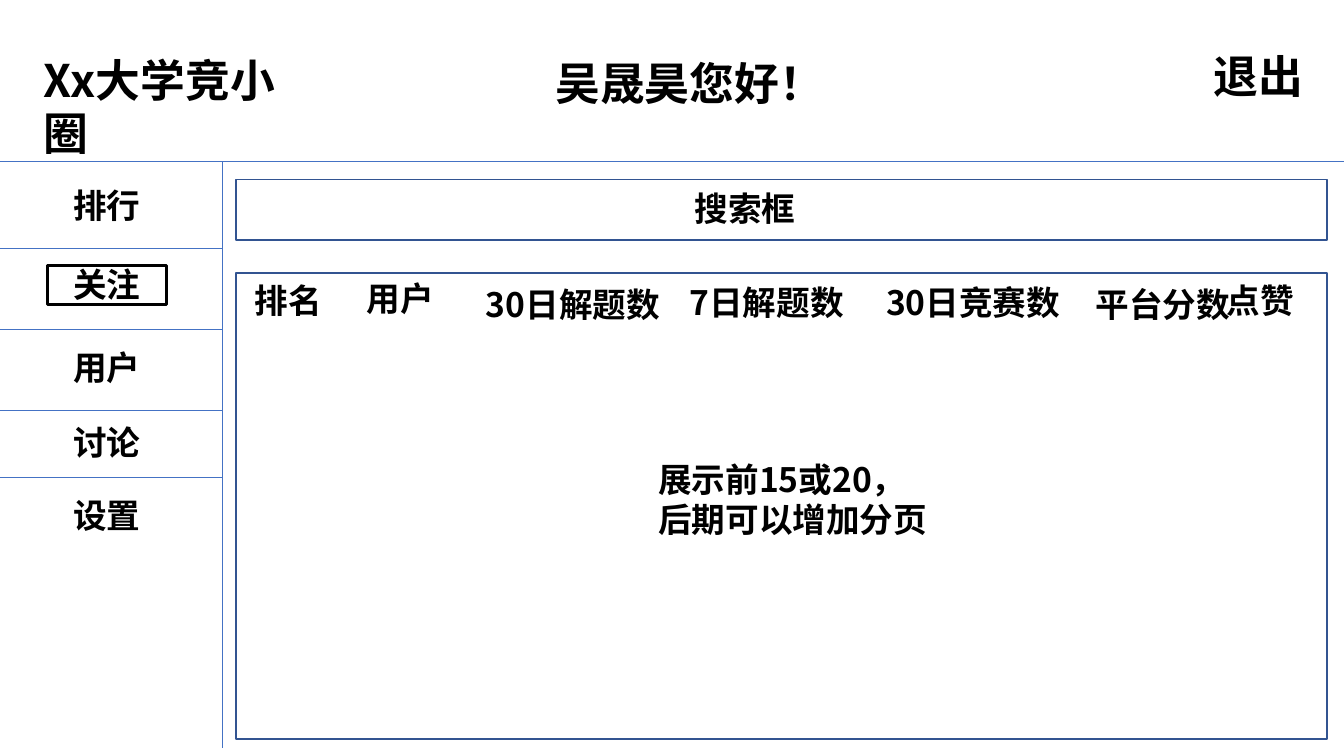
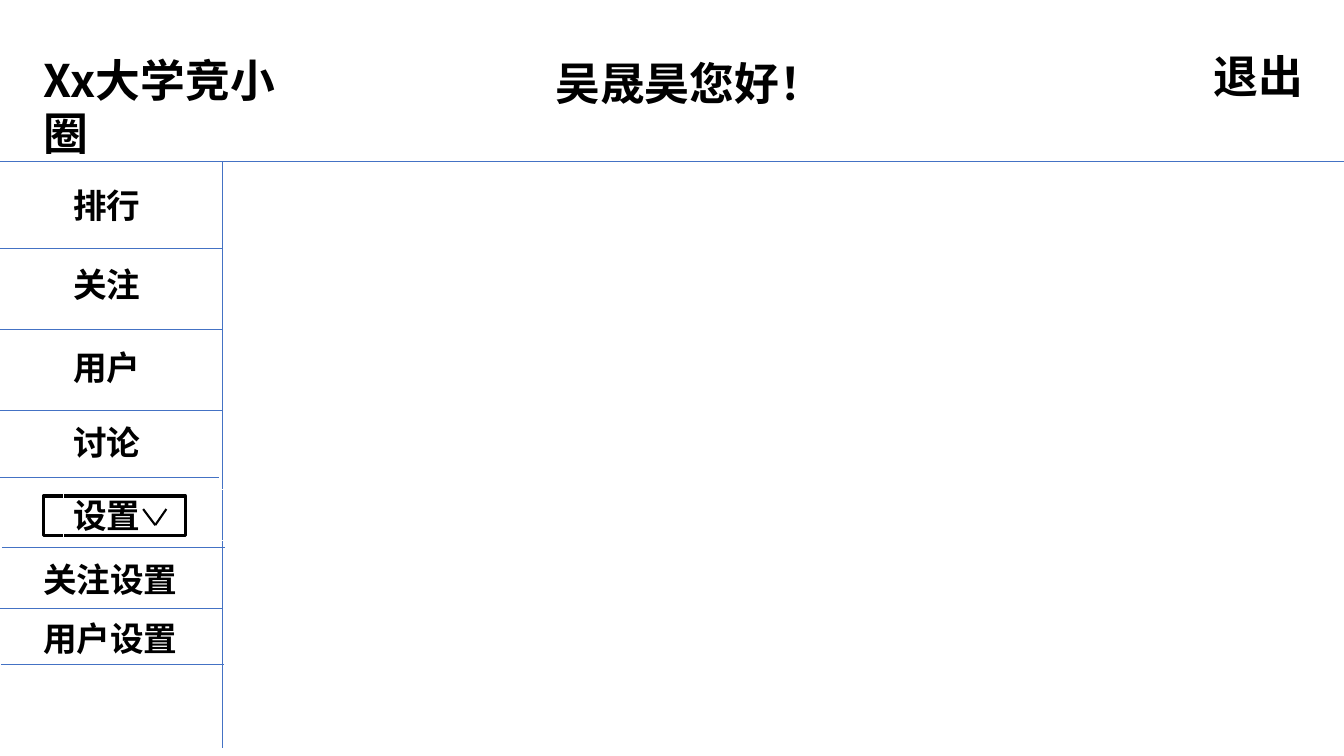
import pptx
import pptx.util
import pptx.dml.color
import pptx.enum.shapes
import pptx.enum.text
import pptx.oxml.ns
import lxml.etree

Inches = pptx.util.Inches
Pt = pptx.util.Pt
RGBColor = pptx.dml.color.RGBColor
qn = pptx.oxml.ns.qn

FONT = "Noto Sans CJK SC"
BLACK = RGBColor(0x00, 0x00, 0x00)
WHITE = RGBColor(0xFF, 0xFF, 0xFF)
BLUE = RGBColor(0x44, 0x72, 0xC4)
NAVY = RGBColor(0x32, 0x54, 0x91)

WIDTH, HEIGHT = 13.33, 7.5
HEADER_BOTTOM, MENU_RIGHT, MENU_BOTTOM = 1.6, 2.21, 7.42
MENU_LEFT, SUBMENU_LEFT = 0.63, 0.33
LABEL_WIDTH = 1.96
HEADER_SIZE, BODY_SIZE = 32, 24

# text, left, top, width
HEADER = [
    ("退出", 11.94, 0.43, 1.96),
    ("Xx大学竞小圈", 0.33, 0.47, 2.94),
    ("吴晟昊您好！", 5.41, 0.5, 2.94),
]
# text, top
MENU = [("排行", 1.79), ("关注", 2.57), ("用户", 3.39), ("讨论", 4.14)]
SETTINGS = ("设置", 4.86)
SUBMENU = [("关注设置", 5.5), ("用户设置", 6.08)]
MENU_DIVIDERS = [2.46, 3.27, 4.07]
# right end, height
SETTINGS_DIVIDERS = [(2.17, 4.74), (2.23, 5.43), (2.2, 6.04), (2.22, 6.59)]

# left, top, width, height
SEARCH_BOX = (2.34, 1.78, 10.82, 0.6)
RANKING_BOX = (2.34, 2.71, 10.82, 4.62)
FOLLOW_MARK = (0.47, 2.63, 1.18, 0.39)
SETTINGS_MARK = (0.43, 4.92, 1.41, 0.39)
# text, left, top
COLUMNS = [
    ("排名", 2.43, 2.73),
    ("用户", 3.54, 2.71),
    ("30日解题数", 4.72, 2.77),
    ("7日解题数", 6.74, 2.75),
    ("30日竞赛数", 8.69, 2.75),
    ("平台分数", 10.77, 2.77),
    ("点赞", 12.07, 2.73),
]
SEARCH_LABEL = ("搜索框", 6.79, 1.82)
PAGING_NOTE = ["展示前15或20，", "后期可以增加分页"]
CHEVRON_TIP = (1.54, 5.21)
CHEVRON_ENDS = [(1.42, 5.05), (1.65, 5.05)]


def add_line(page, start, end, color=BLUE, weight=0.5):
    """Draw a straight line without shadow."""
    line = page.shapes.add_connector(
        pptx.enum.shapes.MSO_CONNECTOR.STRAIGHT,
        *(Inches(value) for value in start + end))
    line.line.color.rgb = color
    line.line.width = Pt(weight)
    lxml.etree.SubElement(line._element.spPr, qn("a:effectLst"))


def add_frame(page, place, color, weight):
    """Draw an unfilled rectangle."""
    frame = page.shapes.add_shape(
        pptx.enum.shapes.MSO_SHAPE.RECTANGLE,
        *(Inches(value) for value in place))
    frame.shadow.inherit = False
    frame.fill.background()
    frame.line.color.rgb = color
    frame.line.width = Pt(weight)
    return frame


def write(box, lines, size):
    """Fill a shape with bold black lines of text."""
    frame = box.text_frame
    frame.word_wrap = True
    frame.auto_size = pptx.enum.text.MSO_AUTO_SIZE.SHAPE_TO_FIT_TEXT
    frame.vertical_anchor = pptx.enum.text.MSO_ANCHOR.TOP
    frame.text = "\n".join(lines)
    for para in frame.paragraphs:
        para.alignment = pptx.enum.text.PP_ALIGN.LEFT
        font = para.font
        font.name, font.size, font.bold = FONT, Pt(size), True
        font.color.rgb = BLACK
        defaults = para._p.pPr.find(qn("a:defRPr"))
        lxml.etree.SubElement(defaults, qn("a:ea")).set("typeface", FONT)


def add_label(page, lines, left, top, width=LABEL_WIDTH, height=0.5,
              size=BODY_SIZE):
    """Place a text box."""
    box = page.shapes.add_textbox(
        Inches(left), Inches(top), Inches(width), Inches(height))
    write(box, lines, size)


def add_page(deck):
    """Add a page with the shared header and side menu."""
    page = deck.slides.add_slide(deck.slide_layouts[6])
    add_line(page, (MENU_RIGHT, HEADER_BOTTOM), (MENU_RIGHT, MENU_BOTTOM))
    add_line(page, (0, HEADER_BOTTOM), (WIDTH, HEADER_BOTTOM))
    for text, left, top, width in HEADER:
        add_label(page, [text], left, top, width, 0.64, HEADER_SIZE)
    for top in MENU_DIVIDERS:
        add_line(page, (0, top), (MENU_RIGHT, top))
    for text, top in MENU:
        add_label(page, [text], MENU_LEFT, top)
    return page


def build_follow_page(deck):
    """Build the ranking of followed users."""
    page = add_page(deck)
    add_line(page, (0, 4.74), (MENU_RIGHT, 4.74))
    text, top = SETTINGS
    add_label(page, [text], MENU_LEFT, top)
    add_frame(page, FOLLOW_MARK, BLACK, 2.25)
    for place in (RANKING_BOX, SEARCH_BOX):
        add_frame(page, place, NAVY, 1)
    for text, left, top in [SEARCH_LABEL] + COLUMNS:
        add_label(page, [text], left, top)
    add_label(page, PAGING_NOTE, 6.43, 4.5, 2.92, 0.91)


def build_settings_page(deck):
    """Build the page with the settings menu unfolded."""
    page = add_page(deck)
    add_frame(page, SETTINGS_MARK, BLACK, 2.25)
    text, top = SETTINGS
    button = add_frame(page, (MENU_LEFT, top, LABEL_WIDTH, 0.5), WHITE, 0.75)
    write(button, [text], BODY_SIZE)
    for end in CHEVRON_ENDS:
        add_line(page, end, CHEVRON_TIP, BLACK, 1.5)
    for right, top in SETTINGS_DIVIDERS:
        add_line(page, (max(0, right - MENU_RIGHT), top), (right, top))
    for text, top in SUBMENU:
        add_label(page, [text], SUBMENU_LEFT, top)


def main():
    """Build and save the deck."""
    deck = pptx.Presentation()
    deck.slide_width, deck.slide_height = Inches(WIDTH), Inches(HEIGHT)
    build_follow_page(deck)
    build_settings_page(deck)
    deck.save("out.pptx")


main()
